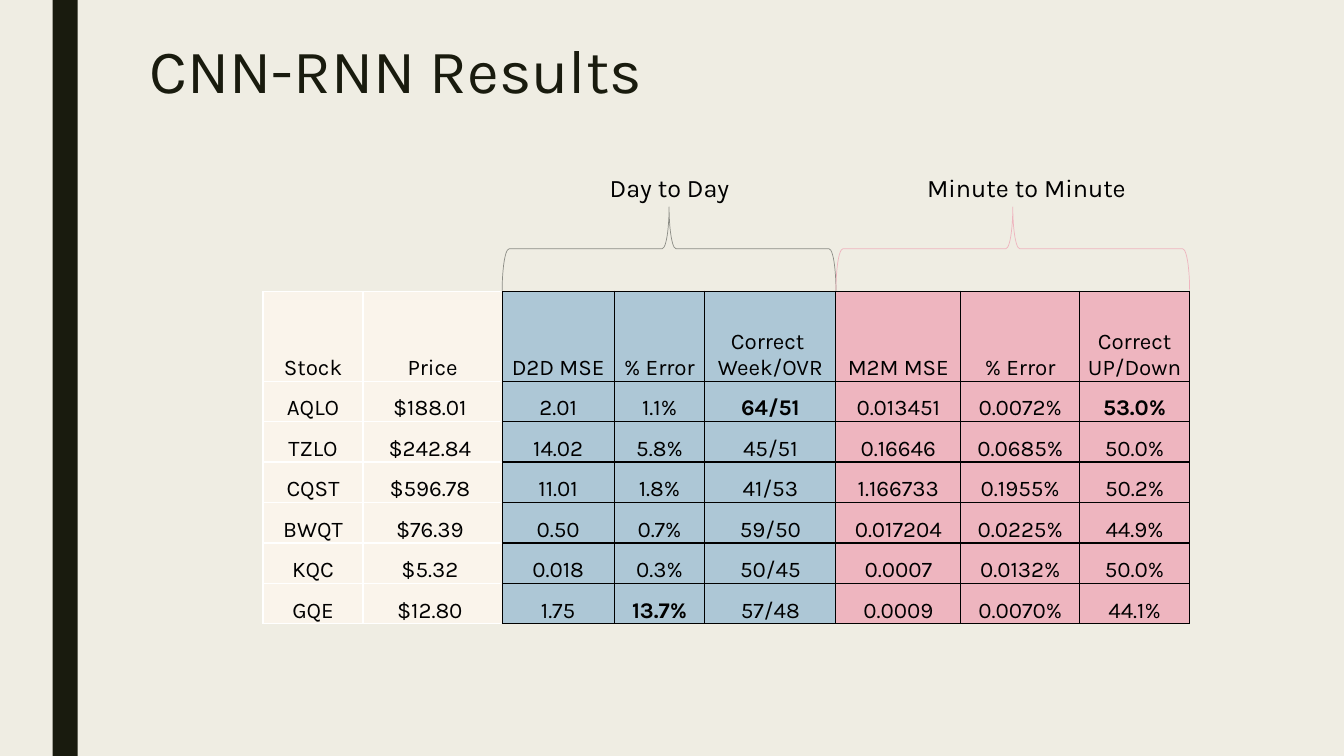
from lxml import etree
from pptx import Presentation
from pptx.dml.color import RGBColor
from pptx.enum.shapes import MSO_SHAPE
from pptx.enum.text import MSO_ANCHOR, PP_ALIGN
from pptx.oxml.ns import qn
from pptx.util import Pt

RECTANGLE = MSO_SHAPE.RECTANGLE
LEFT_BRACE = MSO_SHAPE.LEFT_BRACE
BOTTOM = MSO_ANCHOR.BOTTOM
CENTER = PP_ALIGN.CENTER

FONT = "Karla"
BACKGROUND, INK, BLACK, WHITE = "EFEDE3", "191B0E", "000000", "FFFFFF"
CREAM, BLUE, PINK, GRAY = "FAF4EB", "ADC7D6", "EEB5BF", "8C8D86"

TABLE_LEFT, TABLE_TOP = 187.9, 208.1
COLUMN_WIDTHS = [71.4, 99.4, 80, 64.8, 93.6, 89.2, 85, 78.4]
COLUMN_FILLS = [CREAM] * 2 + [BLUE] * 3 + [PINK] * 3
HEADER_HEIGHT, ROW_HEIGHT = 64.2, 28.9
BRACE_HEIGHT = 59.8
RESULTS = [
    ["Stock", "Price", "D2D MSE", "% Error", "Correct \nWeek/OVR",
     "M2M MSE", "% Error", "Correct\nUP/Down"],
    ["AQLO", "$188.01 ", "2.01", "1.1%", "64/51", "0.013451", "0.0072%", "53.0%"],
    ["TZLO", "$242.84 ", "14.02", "5.8%", "45/51", "0.16646", "0.0685%", "50.0%"],
    ["CQST", "$596.78 ", "11.01", "1.8%", "41/53", "1.166733", "0.1955%", "50.2%"],
    ["BWQT", "$76.39 ", "0.50", "0.7%", "59/50", "0.017204", "0.0225%", "44.9%"],
    ["KQC", "$5.32 ", "0.018", "0.3%", "50/45", "0.0007", "0.0132%", "50.0%"],
    ["GQE", "$12.80 ", "1.75", "13.7%", "57/48", "0.0009", "0.0070%", "44.1%"],
]
BEST_RESULTS = {"64/51", "53.0%", "13.7%"}


def color(hex_text):
    return RGBColor.from_string(hex_text)


class SlideWriter:
    def __init__(self, page, font):
        self.page = page
        self.font = font

    def background(self, fill):
        self.page.background.fill.solid()
        self.page.background.fill.fore_color.rgb = color(fill)

    def spans(self, para, text, size, ink, bold=False):
        """Add one run for each line of text, with line breaks between."""
        for number, line in enumerate(text.split("\n")):
            if number:
                para.add_line_break()
            span = para.add_run()
            span.text = line
            span.font.name = self.font
            span.font.size = Pt(size)
            span.font.bold = bold
            span.font.color.rgb = color(ink)

    def text(self, left, top, width, height, text, size, ink, line_spacing=1.0):
        box = self.page.shapes.add_textbox(Pt(left), Pt(top), Pt(width), Pt(height))
        box.text_frame.word_wrap = True
        para = box.text_frame.paragraphs[0]
        para.line_spacing = line_spacing
        self.spans(para, text, size, ink)

    def bar(self, left, top, width, height, fill):
        shape = self.page.shapes.add_shape(
            RECTANGLE, Pt(left), Pt(top), Pt(width), Pt(height))
        shape.shadow.inherit = False
        shape.fill.solid()
        shape.fill.fore_color.rgb = color(fill)
        shape.line.fill.background()

    def brace(self, left, top, width, height, ink):
        """Draw a brace that opens downwards and fills the given area."""
        shift = (width - height) / 2
        shape = self.page.shapes.add_shape(
            LEFT_BRACE, Pt(left + shift), Pt(top - shift), Pt(height), Pt(width))
        shape.rotation = 90
        shape.shadow.inherit = False
        shape.fill.background()
        shape.line.color.rgb = color(ink)
        shape.line.width = Pt(0.5)

    def borders(self, cell, inks):
        """Rule the left, right, top and bottom of a cell, in that order."""
        properties = cell._tc.get_or_add_tcPr()
        for position, (side, ink) in enumerate(zip("LRTB", inks)):
            line = etree.Element(qn(f"a:ln{side}"), w=str(Pt(1)))
            fill = etree.SubElement(line, qn("a:solidFill"))
            etree.SubElement(fill, qn("a:srgbClr"), val=ink)
            properties.insert(position, line)

    def table(self, left, top, widths, heights, rows, fills, bold_texts):
        table = self.page.shapes.add_table(
            len(rows), len(widths), Pt(left), Pt(top),
            Pt(sum(widths)), Pt(sum(heights))).table
        table.first_row = table.horz_banding = False
        for column, width in zip(table.columns, widths):
            column.width = Pt(width)
        for row, height, texts in zip(table.rows, heights, rows):
            row.height = Pt(height)
            for index, (cell, text) in enumerate(zip(row.cells, texts)):
                cell.fill.solid()
                cell.fill.fore_color.rgb = color(fills[index])
                edge = WHITE if fills[index] == CREAM else BLACK
                at_group_end = fills[index:index + 2] == [CREAM, BLUE]
                right = BLACK if at_group_end else edge
                left_edge = BLACK if index and edge == BLACK else edge
                self.borders(cell, [left_edge, right, edge, edge])
                cell.margin_left = cell.margin_right = Pt(0)
                cell.margin_top = cell.margin_bottom = Pt(0)
                cell.vertical_anchor = BOTTOM
                para = cell.text_frame.paragraphs[0]
                para.alignment = CENTER
                self.spans(para, text, 16, BLACK, text in bold_texts)


def main():
    deck = Presentation()
    deck.slide_width, deck.slide_height = Pt(960), Pt(540)
    writer = SlideWriter(deck.slides.add_slide(deck.slide_layouts[6]), FONT)
    writer.background(BACKGROUND)
    writer.bar(37.5, 0, 18, 540, INK)
    writer.text(100, 26, 756, 116.6, "CNN-RNN Results", 44, INK, 0.89)

    heights = [HEADER_HEIGHT] + [ROW_HEIGHT] * (len(RESULTS) - 1)
    writer.table(TABLE_LEFT, TABLE_TOP, COLUMN_WIDTHS, heights, RESULTS,
                 COLUMN_FILLS, BEST_RESULTS)

    groups = [("Day to Day", 2, 5, GRAY, 428.4, 112.3),
              ("Minute to Minute", 5, 8, PINK, 655.2, 175)]
    for label, first, end, ink, label_left, label_width in groups:
        writer.brace(TABLE_LEFT + sum(COLUMN_WIDTHS[:first]),
                     TABLE_TOP - BRACE_HEIGHT - 0.5,
                     sum(COLUMN_WIDTHS[first:end]), BRACE_HEIGHT, ink)
        writer.text(label_left, 119.2, label_width, 29, label, 18, BLACK)
    deck.save("out.pptx")


if __name__ == "__main__":
    main()
